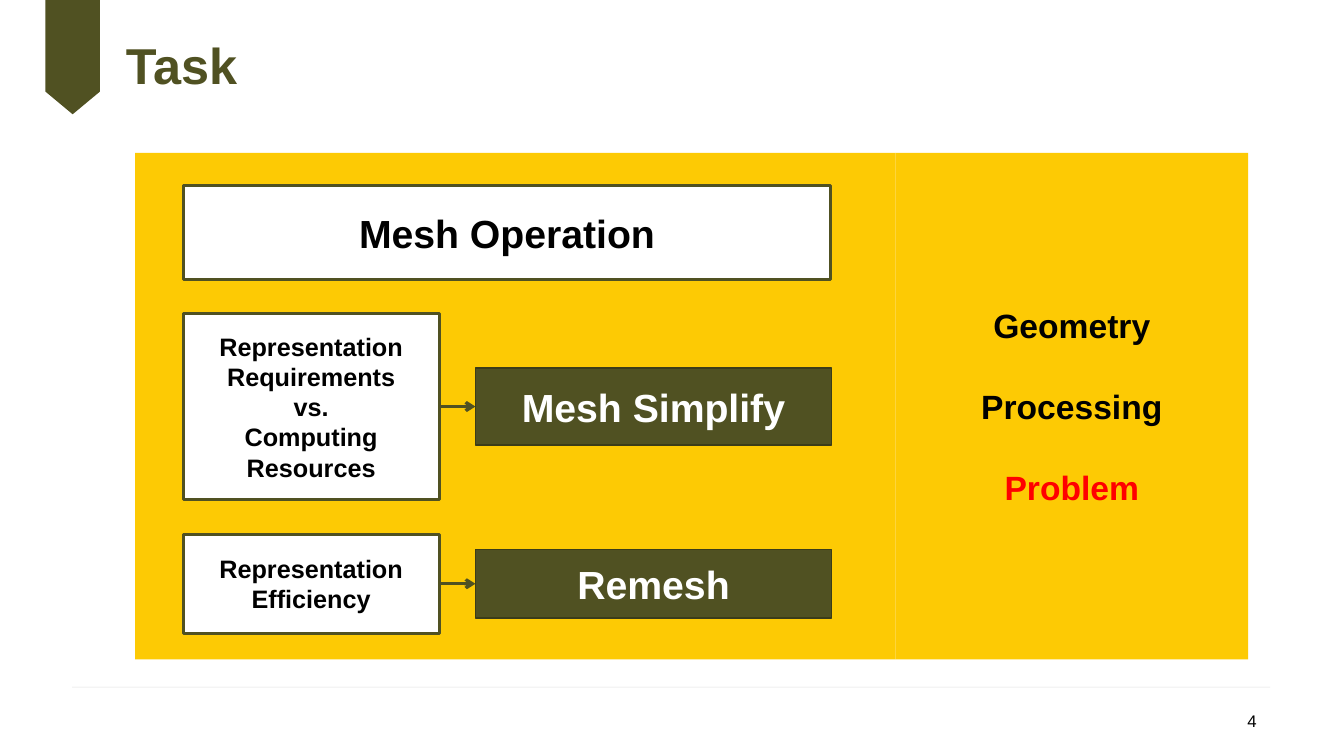
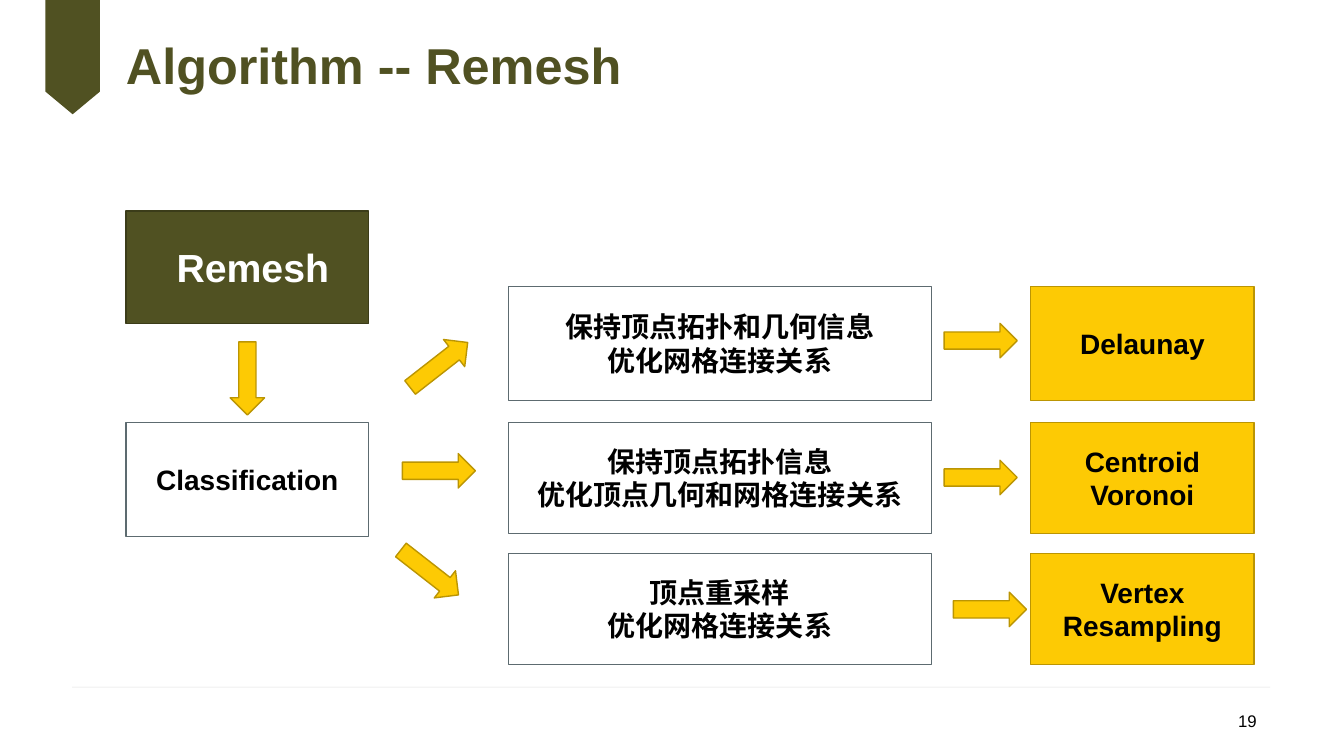
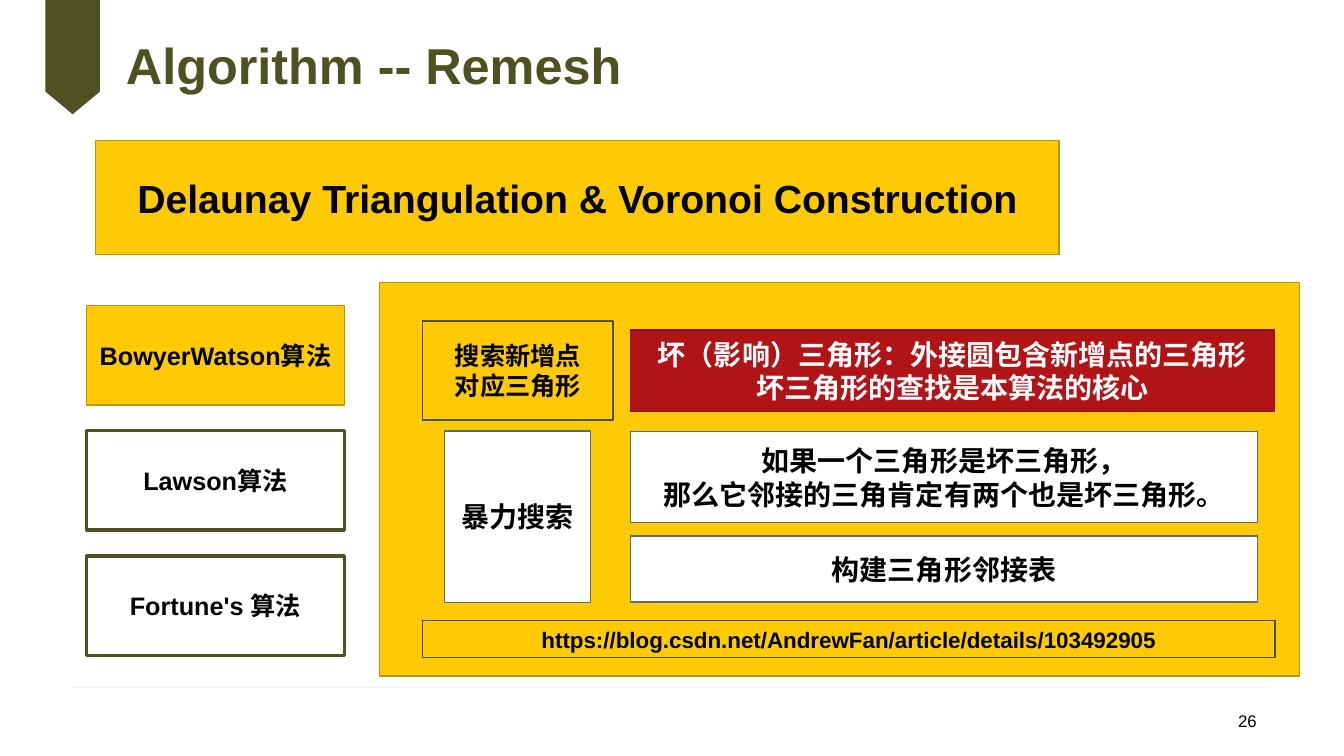
from lxml.etree import SubElement
from pptx import Presentation
from pptx.dml.color import RGBColor
from pptx.enum.shapes import MSO_CONNECTOR, MSO_SHAPE
from pptx.enum.text import MSO_ANCHOR, MSO_AUTO_SIZE, PP_ALIGN
from pptx.oxml.ns import qn
from pptx.util import Inches, Pt

COLUMNS, ROWS = 160, 90
FONT = "Arial"
OLIVE, DARK_OLIVE = "505122", "3B3C19"
YELLOW, DARK_YELLOW = "FDCA04", "BB9503"
RED, DARK_RED, BRIGHT_RED = "B01417", "820F11", "FF0000"
BLACK, WHITE, SLATE, SILVER = "000000", "FFFFFF", "5D6B70", "BFBFBF"

PLAIN = (WHITE, SLATE, 1, BLACK)
FRAMED = (WHITE, OLIVE, 2.25, BLACK)
SOLID = (OLIVE, DARK_OLIVE, 1, WHITE)
BRIGHT = (YELLOW, DARK_YELLOW, 1, BLACK)
OUTLINED = (YELLOW, OLIVE, 1, BLACK)
ALERT = (RED, DARK_RED, 1, WHITE)
PANEL = (YELLOW, None, 0, BLACK)


def paint(target, color):
    target.solid()
    target.fore_color.rgb = RGBColor.from_string(color)


class Deck:
    def __init__(self):
        self.presentation = Presentation()
        self.presentation.slide_width = Inches(13.33)
        self.presentation.slide_height = Inches(7.5)
        self.layout = self.presentation.slide_layouts[5]
        self.slide = None

    def across(self, columns):
        return round(self.presentation.slide_width * columns / COLUMNS)

    def down(self, rows):
        return round(self.presentation.slide_height * rows / ROWS)

    def area(self, left, top, width, height):
        return self.across(left), self.down(top), self.across(width), self.down(height)

    def start(self, title, number):
        first = self.slide is None
        self.slide = self.presentation.slides.add_slide(self.layout)
        if first:
            self.decorate_layout()
        shape = self.slide.shapes.title
        shape.left, shape.top, shape.width, shape.height = self.area(15, 3, 107.2, 10.3)
        frame = shape.text_frame
        frame.auto_size = MSO_AUTO_SIZE.NONE
        frame.margin_left = frame.margin_right = frame.margin_top = frame.margin_bottom = 0
        self.add_text(frame, [title], 36, OLIVE, PP_ALIGN.LEFT)
        frame.paragraphs[0].line_spacing = 0.9
        label = self.slide.shapes.add_textbox(*self.area(114.8, 83.4, 36, 4.8))
        self.add_text(label.text_frame, [str(number)], 12, BLACK, PP_ALIGN.RIGHT, bold=False)

    def decorate_layout(self):
        corners = [(5.4, 0), (11.9, 0), (11.9, 10.9), (8.65, 13.6), (5.4, 10.9)]
        points = [(self.across(column), self.down(row)) for column, row in corners]
        builder = self.slide.shapes.build_freeform(*points[0])
        builder.add_line_segments(points[1:])
        ribbon = builder.convert_to_shape()
        self.style(ribbon, OLIVE)
        rule = self.line(8.6, 151.2, 81.8, SILVER, 0.25)
        SubElement(rule.element.spPr.find(".//" + qn("a:srgbClr")), qn("a:alpha")).set("val", "47000")
        for shape in (ribbon, rule):
            self.layout.shapes.element.append(shape.element)

    def style(self, shape, fill, outline=None, weight=0):
        shape.shadow.inherit = False
        paint(shape.fill, fill)
        if outline:
            paint(shape.line.fill, outline)
            shape.line.width = Pt(weight)
        else:
            shape.line.fill.background()

    def add_text(self, frame, lines, size, color, alignment=PP_ALIGN.CENTER, bold=True, gap=0):
        frame.word_wrap = True
        frame.vertical_anchor = MSO_ANCHOR.MIDDLE
        for index, line in enumerate(lines):
            text, ink = line if isinstance(line, tuple) else (line, color)
            paragraph = frame.add_paragraph() if index else frame.paragraphs[0]
            paragraph.alignment = alignment
            if index and gap:
                paragraph.space_before = Pt(gap)
            run = paragraph.add_run()
            run.text = text
            run.font.name, run.font.size, run.font.bold = FONT, Pt(size), bold
            run.font.color.rgb = RGBColor.from_string(ink)

    def box(self, area, look, lines=(), size=20, gap=0):
        fill, outline, weight, ink = look
        shape = self.slide.shapes.add_shape(MSO_SHAPE.RECTANGLE, *self.area(*area))
        self.style(shape, fill, outline, weight)
        self.add_text(shape.text_frame, lines, size, ink, gap=gap)

    def block_arrow(self, left, top, rotation=0):
        shape = self.slide.shapes.add_shape(MSO_SHAPE.RIGHT_ARROW, *self.area(left, top, 8.7, 4.1))
        shape.rotation = rotation
        self.style(shape, YELLOW, DARK_YELLOW, 1)

    def line(self, start, end, row, color, weight, arrow=False):
        connector = self.slide.shapes.add_connector(
            MSO_CONNECTOR.STRAIGHT, self.across(start), self.down(row), self.across(end), self.down(row))
        paint(connector.line.fill, color)
        connector.line.width = Pt(weight)
        properties = connector.element.spPr
        if arrow:
            SubElement(properties.find(qn("a:ln")), qn("a:tailEnd")).set("type", "arrow")
        SubElement(properties, qn("a:effectLst"))
        return connector


def build_task(deck):
    deck.start("Task", 4)
    deck.box((106.6, 18.2, 42, 60.3), PANEL,
             ["Geometry", "Processing", ("Problem", BRIGHT_RED)], 24, gap=29)
    deck.box((16.1, 18.2, 90.5, 60.3), PANEL)
    deck.box((21.8, 22.1, 77.1, 11.2), FRAMED, ["Mesh Operation"], 28)
    needs = [
        (48.4, 22.2, ["Representation Requirements", "vs.", "Computing Resources"], 9.2, "Mesh Simplify"),
        (69.5, 11.8, ["Representation Efficiency"], 8.2, "Remesh"),
    ]
    for middle, need_height, need, answer_height, answer in needs:
        deck.box((21.8, middle - need_height / 2, 30.5, need_height), FRAMED, need, 18)
        deck.box((56.6, middle - answer_height / 2, 42.4, answer_height), SOLID, [answer], 28)
        deck.line(52.3, 56.6, middle, OLIVE, 2.25, arrow=True)


def build_classification(deck):
    deck.start("Algorithm -- Remesh", 19)
    deck.box((15, 25.1, 28.9, 13.4), SOLID, [" Remesh"], 28)
    deck.box((15, 50.3, 28.9, 13.6), PLAIN, ["Classification"])
    deck.block_arrow(25.1, 43, 90)
    cases = [
        (34.1, 13.6, ["保持顶点拓扑和几何信息", "优化网格连接关系"], ["Delaunay"],
         (47.9, 41.4, 322), (112.4, 38.5)),
        (50.3, 13.2, ["保持顶点拓扑信息", "优化顶点几何和网格连接关系"], ["Centroid", "Voronoi"],
         (47.9, 54, 0), (112.4, 54.8)),
        (65.9, 13.2, ["顶点重采样", "优化网格连接关系"], ["Vertex Resampling"],
         (46.8, 66.1, 38), (113.5, 70.5)),
    ]
    for top, height, goal, method, branch, result in cases:
        deck.box((60.5, top, 50.4, height), PLAIN, goal)
        deck.box((122.7, top, 26.6, height), BRIGHT, method)
        deck.block_arrow(*branch)
        deck.block_arrow(*result)


def build_triangulation(deck):
    deck.start("Algorithm -- Remesh", 26)
    deck.box((45.2, 33.6, 109.5, 46.9), BRIGHT)
    deck.box((11.4, 16.7, 114.7, 13.6), BRIGHT, ["Delaunay Triangulation & Voronoi Construction"], 28)
    algorithms = [("BowyerWatson算法", BRIGHT), ("Lawson算法", FRAMED), ("Fortune's 算法", FRAMED)]
    for index, (name, look) in enumerate(algorithms):
        deck.box((10.3, 36.4 + 14.9 * index, 30.7, 11.8), look, [name], 18)
    deck.box((50.3, 38.2, 22.7, 11.8), OUTLINED, ["搜索新增点", "对应三角形"], 18)
    deck.box((75.1, 39.3, 76.6, 9.7), ALERT,
             ["坏（影响）三角形：外接圆包含新增点的三角形", "坏三角形的查找是本算法的核心"])
    deck.box((50.3, 73.9, 101.5, 4.4), OUTLINED,
             ["https://blog.csdn.net/AndrewFan/article/details/103492905"], 16)
    deck.box((52.9, 51.3, 17.4, 20.4), PLAIN, ["暴力搜索"])
    deck.box((75.1, 51.4, 74.6, 10.8), PLAIN,
             ["如果一个三角形是坏三角形，", "那么它邻接的三角肯定有两个也是坏三角形。"])
    deck.box((75.1, 63.8, 74.6, 7.9), PLAIN, ["构建三角形邻接表"])


def main():
    deck = Deck()
    for build in (build_task, build_classification, build_triangulation):
        build(deck)
    deck.presentation.save("out.pptx")


if __name__ == "__main__":
    main()
